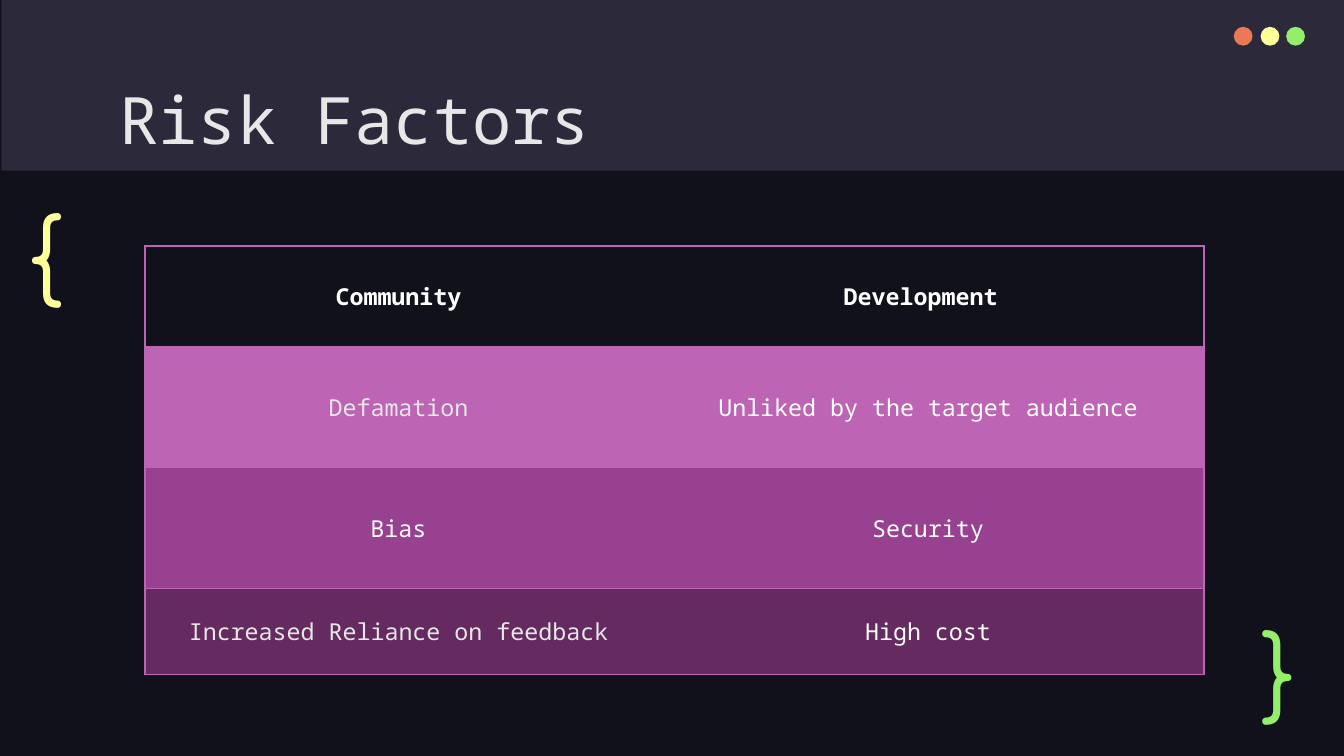
"""Build the Risk Factors slide with its two-column table."""
from lxml import etree
from pptx import Presentation
from pptx.dml.color import RGBColor
from pptx.enum.shapes import MSO_SHAPE as Shape
from pptx.enum.text import MSO_ANCHOR as Anchor, PP_ALIGN as Align
from pptx.oxml.ns import qn
from pptx.util import Inches, Pt

MONO, ROUNDED = "Noto Sans Mono", "Comfortaa"
DARK, BAND, PALE, WHITE = "10111A", "2C293A", "E7E7E7", "FFFFFF"
ORANGE, YELLOW, GREEN, PINK = "EC7955", "FFFF99", "94EE6B", "BD64B5"

DOTS = [(9.18, ORANGE), (9.38, YELLOW), (9.57, GREEN)]
LABELS = [
    ("Risk Factors", (0.79, 0.49, 8.43, 0.63), MONO, 35, PALE),
    ("{", (0.11, 1.34, 0.77, 0.95), ROUNDED, 50, YELLOW),
    ("}", (9.29, 4.44, 0.57, 0.83), ROUNDED, 50, GREEN),
]
COLUMNS = [3.96, 3.92]
ROWS = [
    (0.75, DARK, [("Community", WHITE), ("Development", WHITE)]),
    (0.9, PINK, [("Defamation", PALE), ("Unliked by the target audience", WHITE)]),
    (0.9, "984190", [("Bias", WHITE), ("Security", WHITE)]),
    (0.64, "652B60", [("Increased Reliance on feedback", PALE), ("High cost", WHITE)]),
]


def rgb(value):
    return RGBColor.from_string(value)


def set_font(para, name, size, color, bold=False):
    font = para.font
    font.name, font.size, font.bold = name, Pt(size), bold
    font.color.rgb = rgb(color)


def add_solid(page, kind, frame, color):
    shape = page.shapes.add_shape(kind, *map(Inches, frame))
    shape.shadow.inherit = False
    shape.fill.solid()
    shape.fill.fore_color.rgb = rgb(color)
    shape.line.fill.background()


def add_label(page, text, frame, name, size, color):
    box = page.shapes.add_textbox(*map(Inches, frame)).text_frame
    box.word_wrap = True
    box.vertical_anchor = Anchor.TOP
    box.margin_left = box.margin_right = Inches(0.1)
    box.margin_top = box.margin_bottom = Inches(0.1)
    box.text = text
    set_font(box.paragraphs[0], name, size, color)


def set_borders(cell, visible):
    properties = cell._tc.get_or_add_tcPr()
    for side in "LRTB":
        line = etree.SubElement(properties, qn(f"a:ln{side}"), w=str(Pt(1)))
        if side in visible:
            fill = etree.SubElement(line, qn("a:solidFill"))
            etree.SubElement(fill, qn("a:srgbClr"), val=PINK)
        else:
            etree.SubElement(line, qn("a:noFill"))


def fill_cell(cell, text, color, fill, is_header, is_first):
    set_borders(cell, "LTB" if is_first else "RTB")
    cell.fill.solid()
    cell.fill.fore_color.rgb = rgb(fill)
    cell.vertical_anchor = Anchor.MIDDLE
    cell.margin_left = Inches(0 if is_header and not is_first else 0.11)
    cell.margin_right = Inches(0.3)
    cell.margin_top = cell.margin_bottom = Inches(0.15)
    cell.text = text
    para = cell.text_frame.paragraphs[0]
    para.alignment = Align.CENTER
    para.space_before, para.space_after = Pt(19), Pt(27 if is_header else 19)
    set_font(para, MONO, 12.5, color, is_header)


def add_risk_table(page):
    size = sum(COLUMNS), sum(height for height, _, _ in ROWS)
    table = page.shapes.add_table(
        len(ROWS), len(COLUMNS), *map(Inches, (1.08, 1.83, *size))).table
    for column, width in zip(table.columns, COLUMNS):
        column.width = Inches(width)
    for i, (height, fill, entries) in enumerate(ROWS):
        table.rows[i].height = Inches(height)
        for j, (text, color) in enumerate(entries):
            fill_cell(table.cell(i, j), text, color, fill, i == 0, j == 0)


def main():
    deck = Presentation()
    deck.slide_width = Inches(10)
    deck.slide_height = deck.slide_width * 9 // 16
    page = deck.slides.add_slide(deck.slide_layouts[6])
    page.background.fill.solid()
    page.background.fill.fore_color.rgb = rgb(DARK)
    add_solid(page, Shape.RECTANGLE, (0.01, 0, 10, 1.27), BAND)
    for left, color in DOTS:
        add_solid(page, Shape.OVAL, (left, 0.2, 0.14, 0.14), color)
    for label in LABELS:
        add_label(page, *label)
    add_risk_table(page)
    deck.save("out.pptx")


if __name__ == "__main__":
    main()
